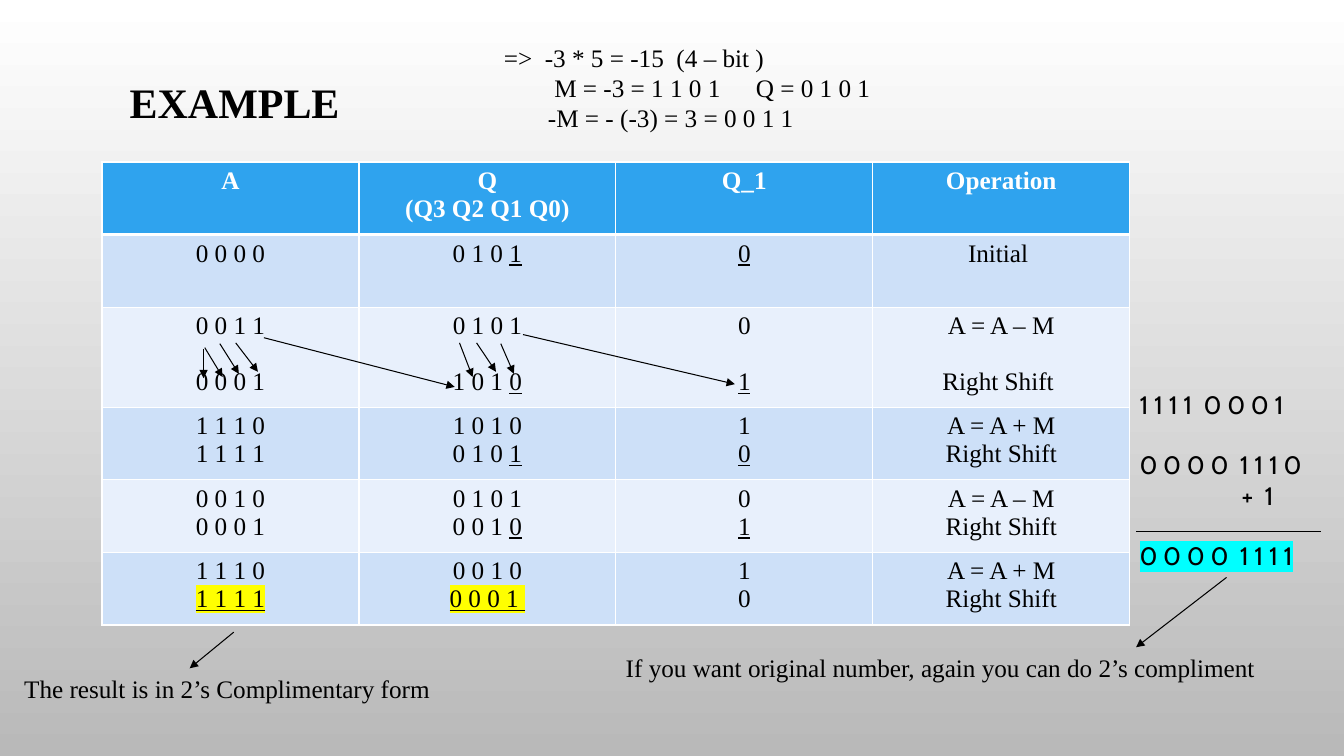
from dataclasses import dataclass

from lxml import etree
from pptx import Presentation
from pptx.dml.color import RGBColor
from pptx.enum.shapes import MSO_CONNECTOR
from pptx.enum.text import MSO_AUTO_SIZE, PP_ALIGN
from pptx.oxml.ns import qn
from pptx.util import Cm, Pt

SERIF, SANS = "Times New Roman", "Cabin"
BLACK, WHITE, BLUE = "000000", "FFFFFF", "2FA3EE"
BANDS = ("CDE0F8", "E8F0FC")
YELLOW, CYAN = "FFFF00", "00FFFF"


def rgb(value):
    return RGBColor.from_string(value)


def add_color(parent, tag, value):
    """Append a DrawingML element that holds one solid colour."""
    el = etree.SubElement(parent, qn(tag))
    etree.SubElement(el, qn("a:srgbClr"), val=value)
    return el


@dataclass
class Run:
    text: str
    underline: bool = False
    highlight: str = ""


@dataclass
class Line:
    """A paragraph: its runs, the space before in points, indent and tab in cm."""
    runs: tuple
    before: float = 0
    indent: float = 0
    tab: float = 0


def line(*parts, **layout):
    return Line(tuple(Run(x) if isinstance(x, str) else x for x in parts), **layout)


def low(text):
    """The underlined last bit."""
    return Run(text, underline=True)


def result(text):
    return Run(text, underline=True, highlight=YELLOW)


class SlideBuilder:
    def __init__(self, slide, font=SERIF, size=18):
        self.slide, self.font, self.size = slide, font, size

    def background(self, top, bottom):
        fill = self.slide.background.fill
        fill.gradient()
        fill.gradient_angle = 270
        for stop, position, color in zip(fill.gradient_stops, (0, 1), (top, bottom)):
            stop.position = position
            stop.color.rgb = rgb(color)

    def add_lines(self, tf, lines, color=BLACK, bold=False, size=None, font=None, align=None):
        for i, item in enumerate(lines):
            p = tf.add_paragraph() if i else tf.paragraphs[0]
            p.alignment = align
            p.space_before = Pt(item.before)
            pPr = p._p.get_or_add_pPr()
            if item.indent:
                pPr.set("marL", str(Cm(item.indent)))
                pPr.set("indent", "0")
            if item.tab:
                tabs = etree.SubElement(pPr, qn("a:tabLst"))
                etree.SubElement(tabs, qn("a:tab"), pos=str(Cm(item.tab)), algn="l")
            for part in item.runs:
                r = p.add_run()
                r.text = part.text
                r.font.name, r.font.size = font or self.font, Pt(size or self.size)
                r.font.bold, r.font.underline = bold, part.underline
                r.font.color.rgb = rgb(color)
                if part.highlight:
                    rPr = r.font._element
                    mark = add_color(rPr, "a:highlight", part.highlight)
                    rPr.find(qn("a:latin")).addprevious(mark)

    def text(self, x, y, w, h, lines, **style):
        tf = self.slide.shapes.add_textbox(Cm(x), Cm(y), Cm(w), Cm(h)).text_frame
        tf.word_wrap = True
        tf.auto_size = MSO_AUTO_SIZE.SHAPE_TO_FIT_TEXT
        self.add_lines(tf, lines, **style)

    def connector(self, x1, y1, x2, y2, arrow=True):
        c = self.slide.shapes.add_connector(
            MSO_CONNECTOR.STRAIGHT, Cm(x1), Cm(y1), Cm(x2), Cm(y2))
        c.line.color.rgb = rgb(BLACK)
        c.line.width = Pt(0.75)
        if arrow:
            etree.SubElement(c.line._get_or_add_ln(), qn("a:tailEnd"), type="triangle")
        etree.SubElement(c._element.spPr, qn("a:effectLst"))

    def border(self, cell, header):
        tcPr = cell._tc.get_or_add_tcPr()
        for side in "LRTB":
            width = 3 if header and side == "B" else 1
            ln = etree.SubElement(tcPr, qn(f"a:ln{side}"), w=str(Pt(width)))
            add_color(ln, "a:solidFill", WHITE)

    def table(self, x, y, w, heights, rows):
        frame = self.slide.shapes.add_table(
            len(rows), len(rows[0]), Cm(x), Cm(y), Cm(w), Cm(sum(heights)))
        table = frame.table
        for col in table.columns:
            col.width = Cm(w / len(rows[0]))
        for i, (row, height) in enumerate(zip(rows, heights)):
            table.rows[i].height = Cm(height)
            header = i == 0
            for j, lines in enumerate(row):
                cell = table.cell(i, j)
                self.border(cell, header)
                cell.fill.solid()
                cell.fill.fore_color.rgb = rgb(BLUE if header else BANDS[(i - 1) % 2])
                self.add_lines(cell.text_frame, lines, WHITE if header else BLACK,
                               bold=header, align=PP_ALIGN.CENTER)


STEPS = [
    [[line("A")], [line("Q"), line("(Q3 Q2 Q1 Q0)")], [line("Q_1")], [line("Operation")]],
    [[line("0 0 0 0")], [line("0 1 0 ", low("1"))], [line(low("0"))], [line("Initial ")]],
    [[line("0 0 1 1"), line("0 0 0 1", before=20)],
     [line("0 1 0 1"), line("1 0 1 ", low("0"), before=20)],
     [line("0"), line(low("1"), before=20)],
     [line("A = A – M"), line("Right Shift ", before=20)]],
    [[line("1 1 1 0"), line("1 1 1 1")],
     [line("1 0 1 0"), line("0 1 0 ", low("1"))],
     [line("1"), line(low("0"))],
     [line("A = A + M"), line("Right Shift")]],
    [[line("0 0 1 0"), line("0 0 0 1")],
     [line("0 1 0 1"), line("0 0 1 ", low("0"))],
     [line("0"), line(low("1"))],
     [line("A = A – M"), line("Right Shift")]],
    [[line("1 1 1 0"), line(result("1 1 1 1"))],
     [line("0 0 1 0"), line(result("0 0 0 1 "))],
     [line("1"), line("0")],
     [line("A = A + M"), line("Right Shift")]],
]
ROW_HEIGHTS = (1.83, 1.83, 2.52, 1.83, 1.83, 1.83)

SHIFT_ARROWS = [
    (5.13, 8.79, 5.13, 9.53), (5.16, 8.76, 5.61, 9.5), (5.54, 8.66, 6.02, 9.42),
    (5.94, 8.64, 6.5, 9.37), (6.65, 8.51, 11.46, 9.75), (11.58, 8.64, 11.91, 9.5),
    (12.01, 8.64, 12.5, 9.37), (12.62, 8.66, 12.95, 9.42), (13.18, 8.43, 18.52, 9.68),
]
NOTE_ARROWS = [(5.89, 15.93, 4.78, 16.84), (30.91, 14.55, 28.63, 16.31)]


def main():
    prs = Presentation()
    prs.slide_width, prs.slide_height = Cm(33.87), Cm(19.05)
    s = SlideBuilder(prs.slides.add_slide(prs.slide_layouts[6]))
    s.background(WHITE, "B9B9B9")
    s.text(3.02, 1.8, 6, 1.55, [line("EXAMPLE")], size=30, bold=True)
    s.table(2.57, 4.08, 25.9, ROW_HEIGHTS, STEPS)
    for ends in SHIFT_ARROWS + NOTE_ARROWS:
        s.connector(*ends)
    s.text(0.36, 16.84, 11.07, 1.02, [line("The result is in 2’s Complimentary form")])
    s.text(15.52, 16.31, 17.12, 1.02,
           [line("If you want original number, again you can do 2’s compliment")])
    s.text(12.45, 0.94, 14.27, 2.57, [
        line("=>  -3 * 5 = -15  (4 – bit )"),
        line("M = -3 = 1 1 0 1\tQ = 0 1 0 1", indent=1.27, tab=7.5),
        line("-M = - (-3) = 3 = 0 0 1 1", indent=1.11),
    ])
    s.text(28.47, 9.68, 4.88, 4.88, [
        line("1 1 1 1  0 0 0 1"),
        line("0 0 0 0  1 1 1 0", before=21.7),
        line("+  1", indent=2.57),
        line(Run("0 0 0 0  1 1 1 1", highlight=CYAN), before=21.7),
    ], font=SANS)
    s.connector(28.63, 13.39, 33.3, 13.39, arrow=False)
    prs.save("out.pptx")


if __name__ == "__main__":
    main()
